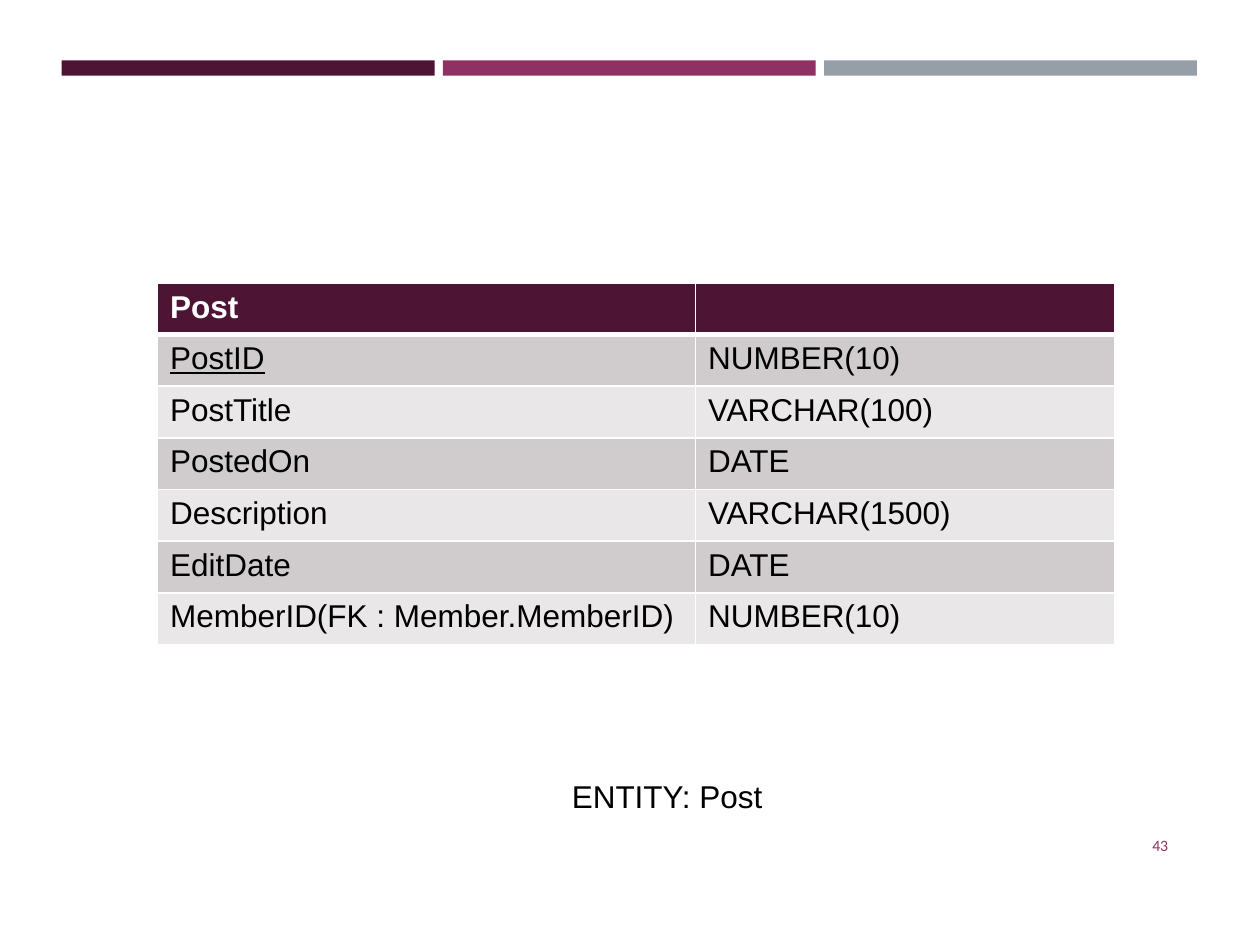
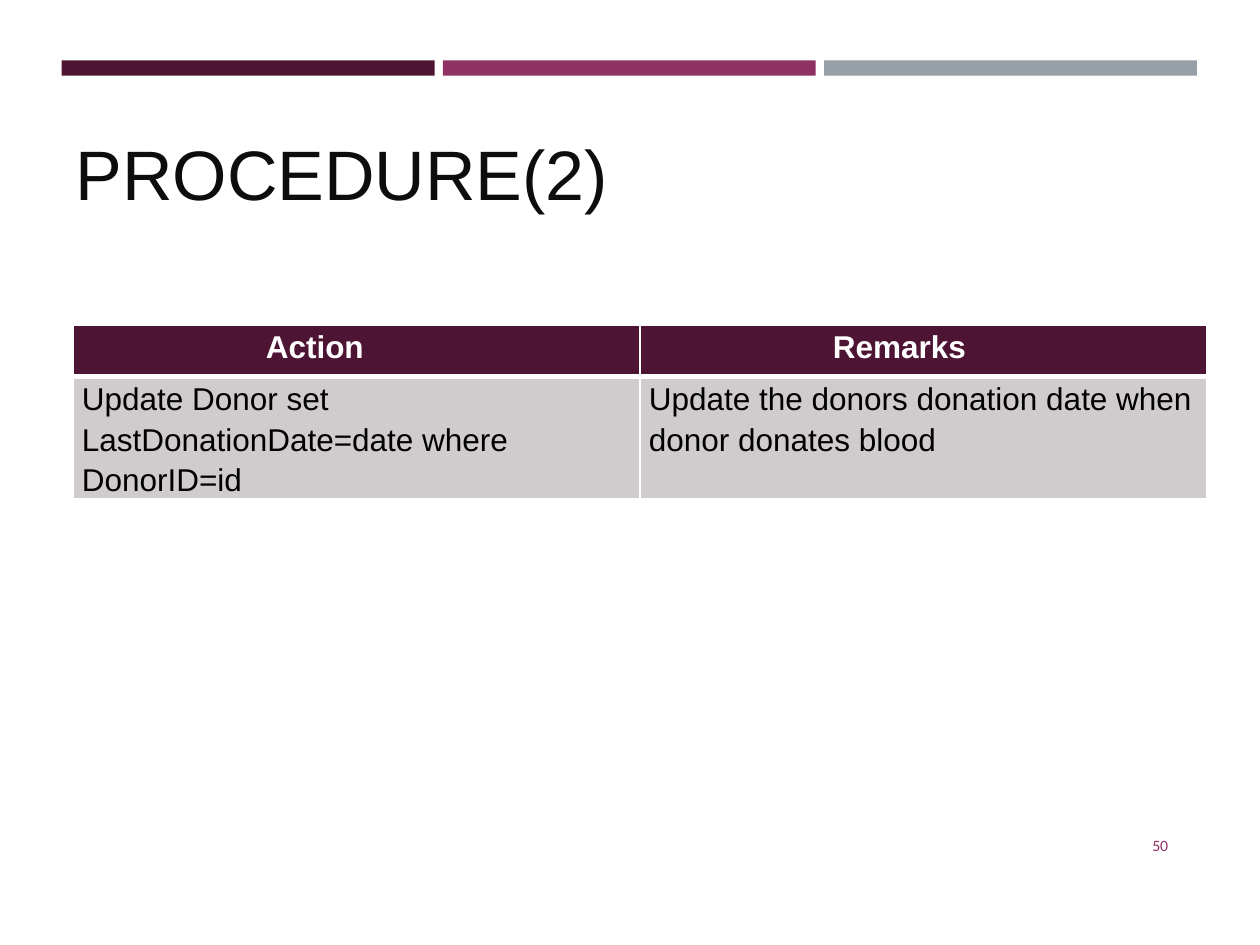
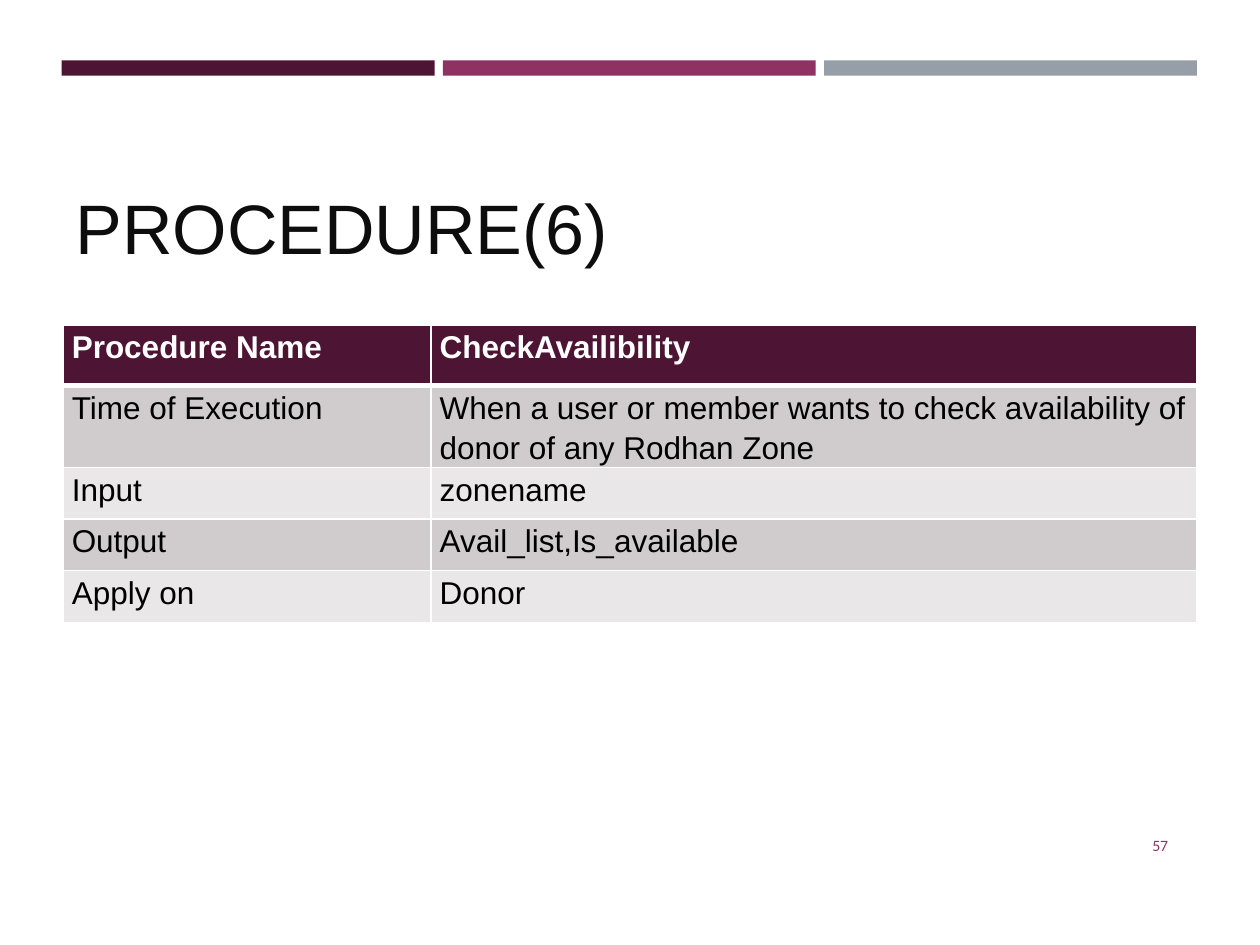
from lxml.etree import SubElement
from pptx import Presentation
from pptx.dml.color import RGBColor
from pptx.enum.shapes import MSO_SHAPE as Shape
from pptx.enum.text import MSO_ANCHOR as Anchor, MSO_AUTO_SIZE as AutoSize, PP_ALIGN as Align
from pptx.oxml.ns import qn
from pptx.util import Inches, Pt

COLORS = {
    "plum": "4D1434",
    "berry": "903163",
    "slate": "969FA7",
    "white": "FFFFFF",
    "black": "000000",
    "title": "0D0D0D",
    "dark band": "D0CCCE",
    "light band": "E9E7E8",
}
BARS = ["plum", "berry", "slate"]
BAR_LEFT, BAR_TOP, BAR_WIDTH, BAR_HEIGHT, BAR_STEP = 0.49, 0.48, 2.96, 0.12, 3.025
TITLE_LEFT, TITLE_WIDTH = 0.5, 8.74
NUMBER_AREA = (8.53, 6.51, 0.84, 0.4)
CAPTION_AREA = (3.17, 6.12, 4.25, 0.42)
ROW = 0.41
COMPACT = {"side": 0.07, "end": 0, "spacing": 1.15}
ROOMY = {"side": 0.1, "end": 0.05, "spacing": 1}

SLIDES = [
    {
        "number": 43,
        "caption": "ENTITY: Post",
        "table": {
            "left": 1.25, "top": 2.25, "columns": [4.27, 3.33],
            "heights": [0.37] + [ROW] * 6, "layout": ROOMY,
            "underlined": "PostID",
            "rows": [
                ("Post", ""),
                ("PostID", "NUMBER(10)"),
                ("PostTitle", "VARCHAR(100)"),
                ("PostedOn", "DATE"),
                ("Description", "VARCHAR(1500)"),
                ("EditDate", "DATE"),
                ("MemberID(FK : Member.MemberID)", "NUMBER(10)"),
            ],
        },
    },
    {
        "number": 50,
        "title": "PROCEDURE(2)", "title_top": 0.83, "title_height": 0.92,
        "table": {
            "left": 0.58, "top": 2.58, "columns": [4.5, 4.5],
            "heights": [ROW, 0.96], "layout": COMPACT,
            "header_indent": 1.46,
            "rows": [
                ("Action", "Remarks"),
                ("Update Donor set LastDonationDate=date where DonorID=id",
                 "Update the donors donation date when donor donates blood"),
            ],
        },
    },
    {
        "number": 57,
        "title": "PROCEDURE(6)", "title_top": 1, "title_height": 1.18,
        "table": {
            "left": 0.5, "top": 2.58, "columns": [2.92, 6.08],
            "heights": [0.48, 0.65] + [ROW] * 3, "layout": COMPACT,
            "rows": [
                ("Procedure Name", "CheckAvailibility"),
                ("Time of Execution",
                 "When a user or member wants to check availability of donor of any Rodhan Zone"),
                ("Input", "zonename"),
                ("Output", "Avail_list,Is_available"),
                ("Apply on", "Donor"),
            ],
        },
    },
]


def color(name):
    return RGBColor.from_string(COLORS[name])


def write(frame, text, size, ink, font="Arial", align=Align.LEFT, bold=False):
    frame.text = text
    para = frame.paragraphs[0]
    para.alignment = align
    para.font.size = Pt(size)
    for span in para.runs:
        span.font.name = font
        span.font.size = Pt(size)
        span.font.bold = bold
        span.font.color.rgb = color(ink)
    return para


def add_text(page, area, text, size, ink, **style):
    box = page.shapes.add_textbox(*map(Inches, area))
    box.text_frame.word_wrap = True
    write(box.text_frame, text, size, ink, **style)
    return box


def add_bars(page):
    for index, name in enumerate(BARS):
        bar = page.shapes.add_shape(
            Shape.RECTANGLE, Inches(BAR_LEFT + index * BAR_STEP), Inches(BAR_TOP),
            Inches(BAR_WIDTH), Inches(BAR_HEIGHT))
        bar.shadow.inherit = False
        bar.fill.solid()
        bar.fill.fore_color.rgb = color(name)
        bar.line.fill.background()


def set_title(page, slide):
    title = page.shapes.title
    title.left, title.width = Inches(TITLE_LEFT), Inches(TITLE_WIDTH)
    title.top, title.height = Inches(slide["title_top"]), Inches(slide["title_height"])
    frame = title.text_frame
    frame.auto_size = AutoSize.NONE
    frame.vertical_anchor = Anchor.BOTTOM
    write(frame, slide["title"], 40, "title")


def add_borders(cell, widths):
    """Draw white lines in the order left, right, top, bottom."""
    properties = cell._tc.get_or_add_tcPr()
    for side, width in zip("LRTB", widths):
        line = SubElement(properties, qn(f"a:ln{side}"), w=str(Pt(width)))
        fill = SubElement(line, qn("a:solidFill"))
        SubElement(fill, qn("a:srgbClr"), val=COLORS["white"])


def add_table(page, content):
    rows, columns, heights = content["rows"], content["columns"], content["heights"]
    layout = content["layout"]
    table = page.shapes.add_table(
        len(rows), len(columns), Inches(content["left"]), Inches(content["top"]),
        Inches(sum(columns)), Inches(sum(heights))).table
    for column, width in zip(table.columns, columns):
        column.width = Inches(width)
    for row, height in zip(table.rows, heights):
        row.height = Inches(height)
    for row_index, texts in enumerate(rows):
        header = row_index == 0
        band = "plum" if header else "dark band" if row_index % 2 else "light band"
        indent = content.get("header_indent", 0) if header else 0
        for column_index, text in enumerate(texts):
            cell = table.cell(row_index, column_index)
            cell.margin_left = Inches(layout["side"] + indent)
            cell.margin_right = Inches(layout["side"])
            cell.margin_top = cell.margin_bottom = Inches(layout["end"])
            add_borders(cell, (1, 1, 3 if row_index == 1 else 1, 3 if header else 1))
            cell.fill.solid()
            cell.fill.fore_color.rgb = color(band)
            para = write(cell.text_frame, text, 18, "white" if header else "black", bold=header)
            para.line_spacing = layout["spacing"]
            if text and text == content.get("underlined"):
                para.runs[0].font.underline = True


def main():
    deck = Presentation()
    deck.slide_width, deck.slide_height = Inches(10), Inches(7.5)
    title_only, blank = deck.slide_layouts[5], deck.slide_layouts[6]
    for slide in SLIDES:
        page = deck.slides.add_slide(title_only if "title" in slide else blank)
        add_bars(page)
        if "title" in slide:
            set_title(page, slide)
        add_table(page, slide["table"])
        if "caption" in slide:
            add_text(page, CAPTION_AREA, slide["caption"], 18, "black", align=Align.CENTER)
        number = add_text(page, NUMBER_AREA, str(slide["number"]), 9, "berry",
                          font="Calibri", align=Align.RIGHT)
        number.text_frame.vertical_anchor = Anchor.MIDDLE
    deck.save("out.pptx")


if __name__ == "__main__":
    main()
